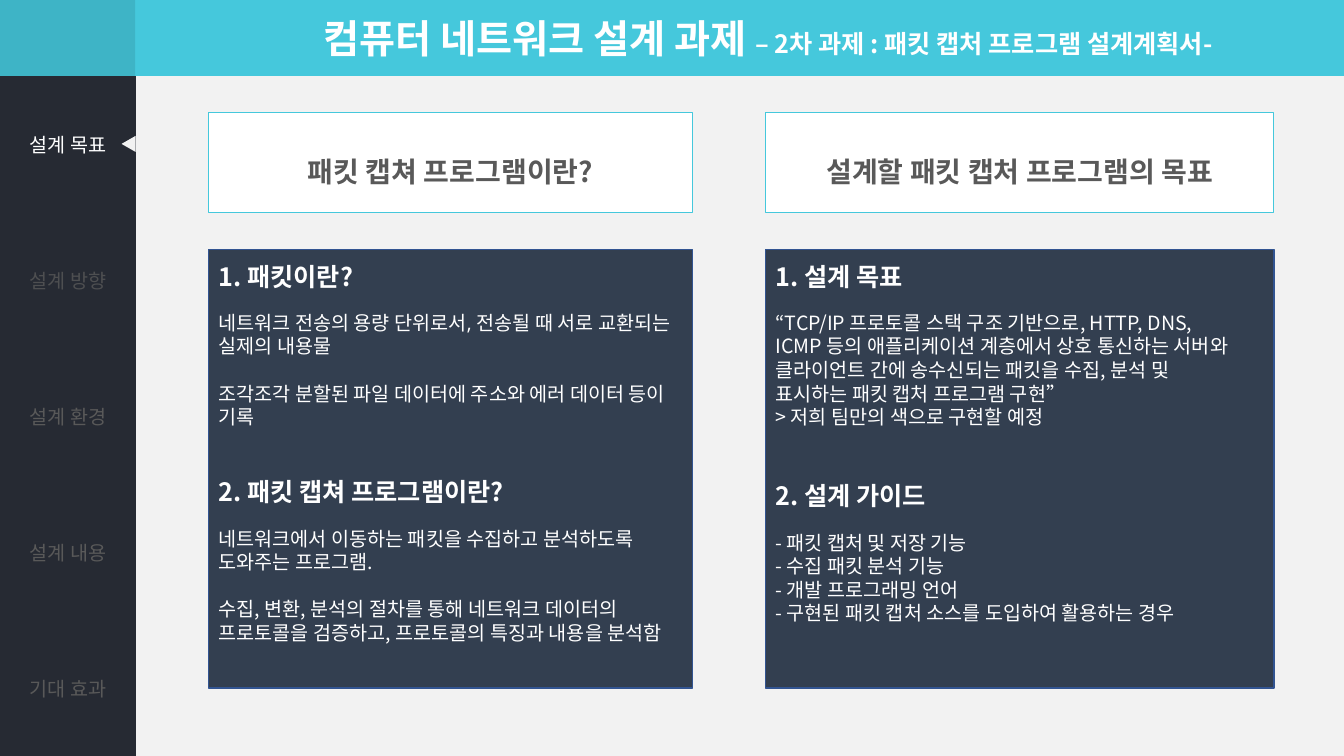
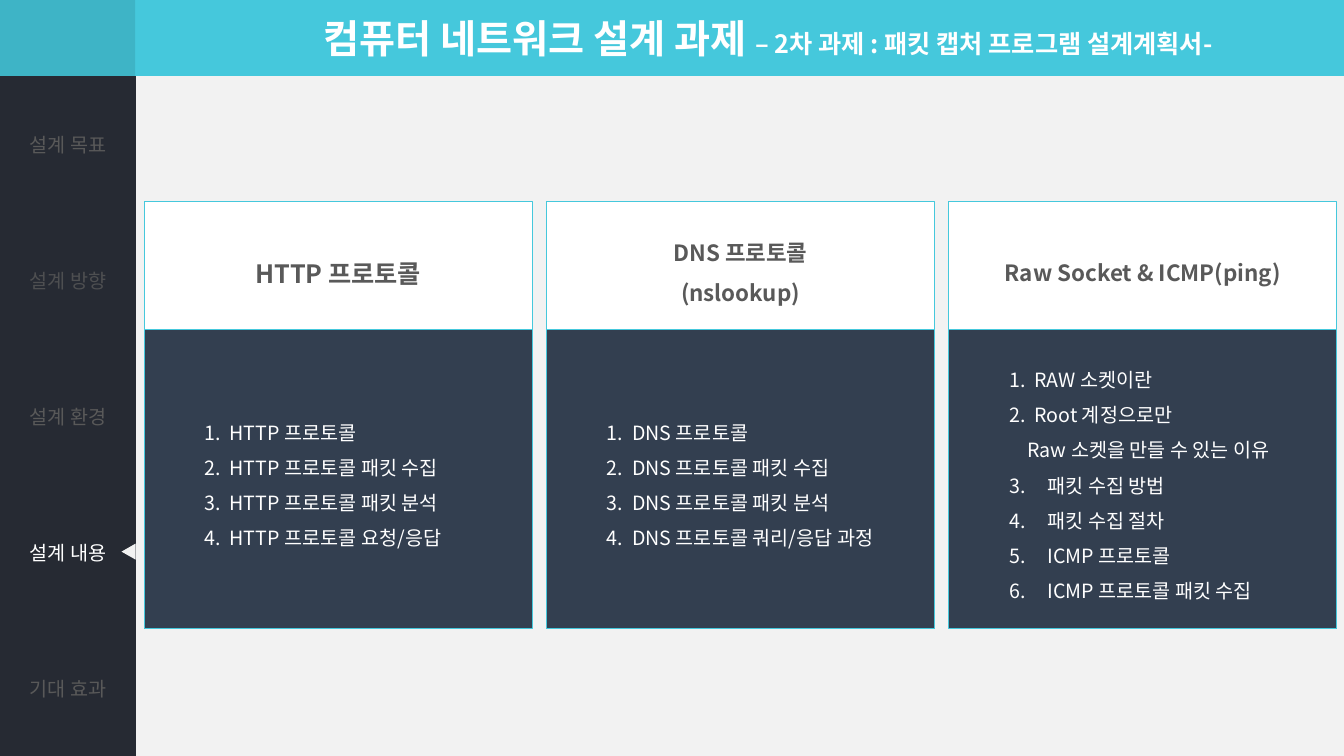
from dataclasses import dataclass

from lxml import etree
from pptx import Presentation
from pptx.dml.color import RGBColor
from pptx.enum.shapes import MSO_SHAPE
from pptx.enum.text import MSO_ANCHOR, PP_ALIGN
from pptx.oxml.ns import qn
from pptx.util import Inches, Pt

RECT = MSO_SHAPE.RECTANGLE
TRIANGLE = MSO_SHAPE.ISOSCELES_TRIANGLE
MIDDLE = MSO_ANCHOR.MIDDLE
LEFT = PP_ALIGN.LEFT
CENTER = PP_ALIGN.CENTER

WIDTH, HEIGHT = Inches(13.33), Inches(7.5)
COLUMNS, ROWS = 160, 90
HEADER_ROWS = 9.1
SIDEBAR_COLUMNS = 16.2
NO_TABLE_STYLE = "{2D5ABB26-0587-4C30-8999-92F81FD0307C}"


@dataclass(frozen=True)
class Theme:
    font: str = "Noto Sans CJK KR"
    alt_font: str = "Open Sans"
    cyan: str = "45C8DC"
    corner: str = "3EB4C6"
    page: str = "F2F2F2"
    sidebar: str = "262A33"
    panel: str = "333F50"
    panel_edge: str = "325491"
    white: str = "FFFFFF"
    gray: str = "595959"
    dim: str = "4E4F51"
    title: int = 28
    heading: int = 20
    subtitle: int = 18
    small_heading: int = 16
    body: int = 14


THEME = Theme()

TITLE = "컴퓨터 네트워크 설계 과제 "
SUBTITLE = "– 2차 과제 : 패킷 캡처 프로그램 설계계획서-"
MENU = [
    ("설계 목표", THEME.gray),
    ("설계 방향", THEME.dim),
    ("설계 환경", THEME.gray),
    ("설계 내용", THEME.gray),
    ("기대 효과", THEME.gray),
]

GOAL_COLUMNS = [
    (24.84, 57.6, "패킷 캡쳐 프로그램이란?", [
        (30.48, "1. 패킷이란?", THEME.alt_font, 16.8, [
            "네트워크 전송의 용량 단위로서, 전송될 때 서로 교환되는 실제의 내용물",
            "조각조각 분할된 파일 데이터에 주소와 에러 데이터 등이 기록",
        ]),
        (56.16, "2. 패킷 캡쳐 프로그램이란?", THEME.font, 16.8, [
            "네트워크에서 이동하는 패킷을 수집하고 분석하도록 도와주는 프로그램.",
            "수집, 변환, 분석의 절차를 통해 네트워크 데이터의 프로토콜을 검증하고, "
            "프로토콜의 특징과 내용을 분석함",
        ]),
    ]),
    (91.15, 60.5, "설계할 패킷 캡처 프로그램의 목표", [
        (30.48, "1. 설계 목표", THEME.font, 0, [
            "“TCP/IP 프로토콜 스택 구조 기반으로, HTTP, DNS, ICMP 등의 "
            "애플리케이션 계층에서 상호 통신하는 서버와 클라이언트 간에 "
            "송수신되는 패킷을 수집, 분석 및 표시하는 패킷 캡처 프로그램 구현”",
            "> 저희 팀만의 색으로 구현할 예정",
        ]),
        (56.64, "2. 설계 가이드", THEME.font, 0, [
            "- 패킷 캡처 및 저장 기능",
            "- 수집 패킷 분석 기능",
            "- 개발 프로그래밍 언어",
            "- 구현된 패킷 캡처 소스를 도입하여 활용하는 경우",
        ]),
    ]),
]

NUMBERED = (0.75, -0.25, 1)
CONTINUED = (0.68, 0, None)
RESUMED = (0.88, -0.38, 3)

PROTOCOL_CARDS = [
    (THEME.subtitle, ["HTTP 프로토콜"], [
        (NUMBERED, ["HTTP 프로토콜", "HTTP 프로토콜 패킷 수집",
                    "HTTP 프로토콜 패킷 분석", "HTTP 프로토콜 요청/응답"]),
    ]),
    (THEME.small_heading, ["DNS 프로토콜", "(nslookup)"], [
        (NUMBERED, ["DNS 프로토콜", "DNS 프로토콜 패킷 수집",
                    "DNS 프로토콜 패킷 분석", "DNS 프로토콜 쿼리/응답 과정"]),
    ]),
    (THEME.small_heading, ["Raw Socket & ICMP(ping)"], [
        (NUMBERED, ["RAW 소켓이란", "Root 계정으로만"]),
        (CONTINUED, ["Raw 소켓을 만들 수 있는 이유"]),
        (RESUMED, ["패킷 수집 방법", "패킷 수집 절차",
                   "ICMP 프로토콜", "ICMP 프로토콜 패킷 수집"]),
    ]),
]


def grid(left, top, width, height):
    return (int(WIDTH * left / COLUMNS), int(HEIGHT * top / ROWS),
            int(WIDTH * width / COLUMNS), int(HEIGHT * height / ROWS))


def rgb(color):
    return RGBColor.from_string(color)


def style_run(run, size, color, bold=False, font=THEME.font):
    run.font.size = Pt(size)
    run.font.bold = bold
    run.font.color.rgb = rgb(color)
    run.font.name = font
    east_asian = etree.SubElement(run.font._element, qn("a:ea"))
    east_asian.set("typeface", THEME.font)


def write_lines(frame, lines, size, color, bold=False, align=LEFT, spacing=None):
    frame.text = "\n".join(lines)
    for paragraph in frame.paragraphs:
        paragraph.alignment = align
        paragraph.line_spacing = spacing
        for run in paragraph.runs:
            style_run(run, size, color, bold)


def add_block(slide, area, fill, edge=None, edge_width=0.75, preset=RECT):
    block = slide.shapes.add_shape(preset, *grid(*area))
    block.shadow.inherit = False
    block.fill.solid()
    block.fill.fore_color.rgb = rgb(fill)
    if edge:
        block.line.color.rgb = rgb(edge)
        block.line.width = Pt(edge_width)
    else:
        block.line.fill.background()
    block.text_frame.word_wrap = True
    block.text_frame.vertical_anchor = MIDDLE
    return block


def add_heading(slide, area, lines, size):
    heading = add_block(slide, area, THEME.white, THEME.cyan)
    write_lines(heading.text_frame, lines, size, THEME.gray, True, CENTER, 1.5)


def add_text_area(slide, area):
    frame = slide.shapes.add_textbox(*grid(*area)).text_frame
    frame.word_wrap = True
    return frame


def paint_background(slide):
    fill = slide.background.fill
    fill.gradient()
    fill.gradient_angle = 270
    for stop, color in zip(fill.gradient_stops, (THEME.cyan, THEME.page)):
        stop.color.rgb = rgb(color)
        stop.position = 0.1


def add_title(slide):
    frame = add_text_area(slide, (37.32, 1.08, 122.6, 6.84))
    frame.vertical_anchor = MIDDLE
    for words, size in ((TITLE, THEME.title), (SUBTITLE, THEME.subtitle)):
        run = frame.paragraphs[0].add_run()
        run.text = words
        style_run(run, size, THEME.white, True)


def add_menu(slide, active):
    area = grid(0, HEADER_ROWS, SIDEBAR_COLUMNS, ROWS - HEADER_ROWS)
    table = slide.shapes.add_table(len(MENU), 1, *area).table
    table.first_row = False
    table.horz_banding = False
    table._tbl.tblPr[0].text = NO_TABLE_STYLE
    for index, (label, color) in enumerate(MENU):
        cell = table.cell(index, 0)
        cell.fill.solid()
        cell.fill.fore_color.rgb = rgb(THEME.sidebar)
        cell.vertical_anchor = MIDDLE
        shade = THEME.white if index == active else color
        write_lines(cell.text_frame, [label], THEME.body, shade, align=CENTER)
    row_height = (ROWS - HEADER_ROWS) / len(MENU)
    marker_top = HEADER_ROWS + (active + 0.5) * row_height - 0.9
    marker = add_block(slide, (14.35, marker_top, 1.92, 1.68), THEME.page, preset=TRIANGLE)
    marker.rotation = 270


def add_page(deck, active):
    slide = deck.slides.add_slide(deck.slide_layouts[6])
    paint_background(slide)
    add_title(slide)
    add_block(slide, (0, 0, 16.1, HEADER_ROWS), THEME.corner)
    add_menu(slide, active)
    return slide


def add_section(slide, left, top, heading, font, gap, lines):
    frame = add_text_area(slide, (left, top, 57.6, 24))
    frame.text = "\n".join([heading, *lines])
    for index, paragraph in enumerate(frame.paragraphs):
        if index == 0:
            style_run(paragraph.runs[0], THEME.subtitle, THEME.white, True)
        else:
            paragraph.space_before = Pt(14 if index == 1 else gap)
            style_run(paragraph.runs[0], THEME.body, THEME.white, font=font)


def indent_item(paragraph, margin, hanging, start):
    properties = paragraph._p.get_or_add_pPr()
    properties.set("marL", str(Inches(margin)))
    properties.set("indent", str(Inches(hanging)))
    if start:
        properties.set("lvl", "1")
        number = etree.SubElement(properties, qn("a:buAutoNum"))
        number.set("type", "arabicPeriod")
        if start > 1:
            number.set("startAt", str(start))


def add_card(slide, left, size, heading, groups):
    body = add_block(slide, (left, 39.24, 46.2, 35.64), THEME.panel, THEME.cyan)
    items = [(layout, line) for layout, lines in groups for line in lines]
    write_lines(body.text_frame, [line for _, line in items],
                THEME.body, THEME.white, spacing=1.5)
    for paragraph, (layout, _) in zip(body.text_frame.paragraphs, items):
        indent_item(paragraph, *layout)
    add_heading(slide, (left, 24, 46.2, 15.24), heading, size)


def build_goals(deck):
    slide = add_page(deck, 0)
    for left, width, heading, sections in GOAL_COLUMNS:
        add_heading(slide, (left, 13.44, width, 11.88), [heading], THEME.heading)
        add_block(slide, (left, 29.7, width, 52.2), THEME.panel, THEME.panel_edge, 1)
        for section in sections:
            add_section(slide, left, *section)


def build_protocols(deck):
    slide = add_page(deck, 3)
    for index, card in enumerate(PROTOCOL_CARDS):
        add_card(slide, 17.16 + index * 47.9, *card)


def main():
    deck = Presentation()
    deck.slide_width, deck.slide_height = WIDTH, HEIGHT
    build_goals(deck)
    build_protocols(deck)
    deck.save("out.pptx")


main()
